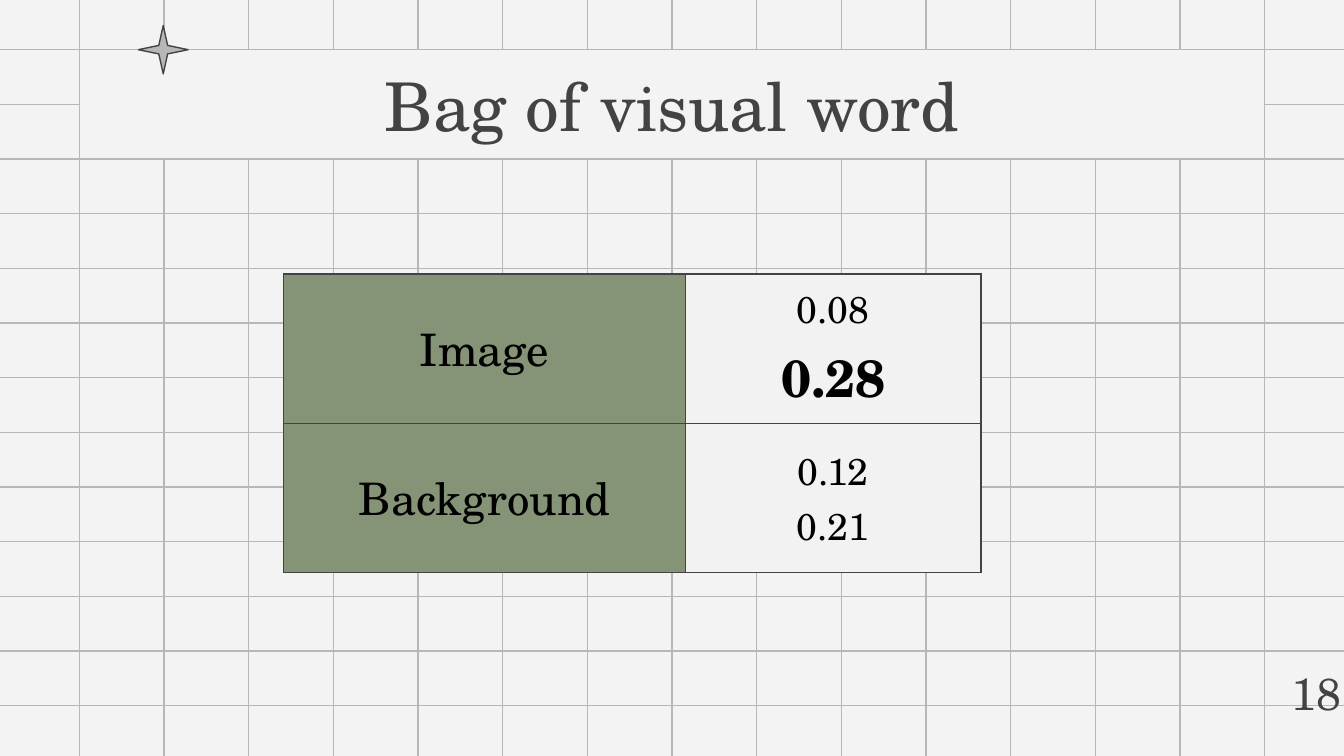
from pptx import Presentation
from pptx.dml.color import RGBColor
from pptx.enum.shapes import MSO_CONNECTOR, MSO_SHAPE
from pptx.enum.text import MSO_ANCHOR, PP_ALIGN
from pptx.oxml.ns import qn
from pptx.util import Inches, Pt
from lxml.etree import SubElement

FONT = "TeX Gyre Schola"
PAPER, GRID, INK = "F3F3F3", "B7B7B7", "434343"
BLACK, GREEN, PALE = "000000", "859477", "F2F2F2"
COLUMN_GAP = 0.63
ROW_GAP = (5.25 - 0.37) / 12  # twelve rows between the outer rules


def color(value):
    return RGBColor.from_string(value)


def paint(shape, fill, line):
    shape.fill.solid()
    shape.fill.fore_color.rgb = color(fill)
    shape.line.color.rgb = color(line)
    shape.line.width = Pt(0.75)


def write(paragraph, text, size, ink=INK, bold=False, align=PP_ALIGN.CENTER):
    paragraph.alignment = align
    run = paragraph.add_run()
    run.text = text
    run.font.name = FONT
    run.font.size = Pt(size)
    run.font.bold = bold
    run.font.color.rgb = color(ink)


def set_frame(frame, wrap=True):
    frame.word_wrap = wrap
    frame.vertical_anchor = MSO_ANCHOR.MIDDLE
    frame.margin_left = frame.margin_right = Inches(0.1)
    frame.margin_top = frame.margin_bottom = Inches(0.1)


def add_line(slide, x1, y1, x2, y2):
    line = slide.shapes.add_connector(
        MSO_CONNECTOR.STRAIGHT, Inches(x1), Inches(y1), Inches(x2), Inches(y2))
    line.line.color.rgb = color(GRID)
    line.line.width = Pt(0.75)
    SubElement(line.element.spPr, qn("a:effectLst"))


def add_grid(slide, left, top, width, height, first_x, first_y, columns, rows):
    """Rule one quarter of the background; first_x and first_y are offsets."""
    for column in range(columns):
        x = left + first_x + column * COLUMN_GAP
        add_line(slide, x, top, x, top + height)
    for row in range(rows):
        y = top + first_y + row * ROW_GAP
        add_line(slide, left, y, left + width, y)


def add_background(slide):
    slide.background.fill.solid()
    slide.background.fill.fore_color.rgb = color(PAPER)
    for top, height, first_y, rows in [(-0.03, 2.84, 0.4, 6), (2.81, 2.85, 0, 7)]:
        for left, first_x, columns in [(-0.04, 0.63, 7), (5, 0, 8)]:
            add_grid(slide, left, top, 5.04, height, first_x, first_y, columns, rows)


def add_title(slide, left, top, width, height):
    title = slide.shapes.title
    title.element.getparent().append(title.element)  # bring in front of the grid
    title.left, title.top = Inches(left), Inches(top)
    title.width, title.height = Inches(width), Inches(height)
    paint(title, PAPER, GRID)
    set_frame(title.text_frame)
    write(title.text_frame.paragraphs[0], "Bag of visual word", 36)

    # Star on the top edge
    star = slide.shapes.add_shape(
        MSO_SHAPE.STAR_4_POINT, Inches(left + 0.44), Inches(top - 0.18),
        Inches(0.37), Inches(0.36))
    star.adjustments[0] = 0.125
    star.shadow.inherit = False
    paint(star, GRID, INK)


def fill_cell(cell, fill, lines):
    # Borders come before the fill in the cell properties
    properties = cell._tc.get_or_add_tcPr()
    for side in ("lnL", "lnR", "lnT", "lnB"):
        border = SubElement(properties, qn(f"a:{side}"), w=str(Pt(1)))
        solid = SubElement(border, qn("a:solidFill"))
        SubElement(solid, qn("a:srgbClr"), val=INK)
    cell.fill.solid()
    cell.fill.fore_color.rgb = color(fill)
    cell.vertical_anchor = MSO_ANCHOR.MIDDLE
    frame = cell.text_frame
    for index, (text, size, bold) in enumerate(lines):
        paragraph = frame.add_paragraph() if index else frame.paragraphs[0]
        write(paragraph, text, size, ink=BLACK, bold=bold)


def add_scores(slide, left, top, width, height):
    scores = [
        ("Image", [("0.08", 20, False), ("0.28", 28, True)]),
        ("Background", [("0.12", 20, False), ("0.21", 20, False)]),
    ]
    table = slide.shapes.add_table(
        len(scores), 2, Inches(left), Inches(top), Inches(width), Inches(height)).table
    table.first_row = table.horz_banding = False
    table.columns[0].width = Inches(2.99)
    table.columns[1].width = Inches(width - 2.99)
    for row, (label, values) in enumerate(scores):
        fill_cell(table.cell(row, 0), GREEN, [(label, 24, False)])
        fill_cell(table.cell(row, 1), PALE, values)


def add_page_number(slide, left, top, width, height):
    box = slide.shapes.add_textbox(
        Inches(left), Inches(top), Inches(width), Inches(height))
    set_frame(box.text_frame, wrap=False)
    paragraph = box.text_frame.paragraphs[0]
    paragraph.space_after = Pt(12)
    write(paragraph, "18", 24, align=PP_ALIGN.LEFT)


def main():
    presentation = Presentation()
    presentation.slide_width = Inches(10)
    presentation.slide_height = Inches(10) * 9 // 16
    slide = presentation.slides.add_slide(presentation.slide_layouts[5])
    add_background(slide)
    add_title(slide, 0.59, 0.37, 8.82, 0.81)
    add_scores(slide, 2.11, 2.04, 5.19, 2.22)
    add_page_number(slide, 9.51, 4.95, 0.57, 0.4)
    presentation.save("out.pptx")


if __name__ == "__main__":
    main()
